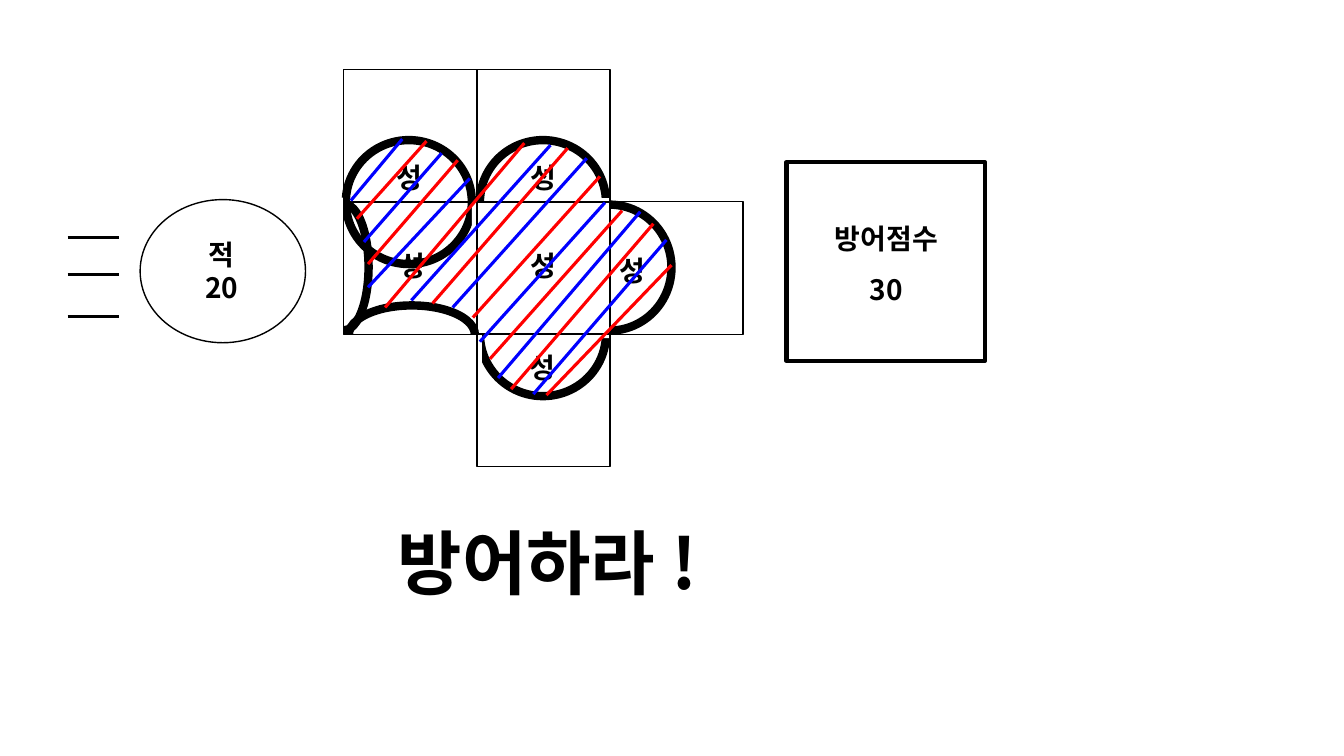
from dataclasses import dataclass

from lxml.etree import SubElement
from pptx import Presentation
from pptx.dml.color import RGBColor
from pptx.enum.shapes import MSO_CONNECTOR, MSO_SHAPE
from pptx.enum.text import PP_ALIGN
from pptx.oxml.ns import qn
from pptx.util import Inches, Pt


@dataclass(frozen=True)
class Theme:
    font: str = "Noto Sans CJK KR"
    ink: str = "000000"
    paper: str = "FFFFFF"
    blue: str = "0000FF"
    red: str = "FF0000"
    body: float = 20
    title: float = 50
    leading: float = 1.2
    drop: float = 0.08
    thin: float = 1
    medium: float = 2.25
    frame: float = 3
    wall: float = 6


class Board:
    def __init__(self, page, theme):
        self.page = page
        self.theme = theme

    def shape(self, kind, frame, width=None, fill=None, rotation=0):
        item = self.page.shapes.add_shape(kind, *map(Inches, frame))
        item.shadow.inherit = False
        item.rotation = rotation
        if fill:
            item.fill.solid()
            item.fill.fore_color.rgb = RGBColor.from_string(fill)
        else:
            item.fill.background()
        if width:
            item.line.color.rgb = RGBColor.from_string(self.theme.ink)
            item.line.width = Pt(width)
        else:
            item.line.fill.background()

    def line(self, start, end, color):
        item = self.page.shapes.add_connector(
            MSO_CONNECTOR.STRAIGHT, *map(Inches, (*start, *end)))
        item.line.color.rgb = RGBColor.from_string(color)
        item.line.width = Pt(self.theme.medium)
        SubElement(item._element.spPr, qn("a:effectLst"))

    def text(self, frame, lines, size, gap=0):
        box = self.page.shapes.add_textbox(*map(Inches, frame))
        body = box.text_frame
        body.word_wrap = True
        body.margin_top = Inches(0.05) + Pt(size * self.theme.drop)
        for index, words in enumerate(lines):
            para = body.add_paragraph() if index else body.paragraphs[0]
            layout = {"alignment": PP_ALIGN.CENTER,
                      "line_spacing": Pt(size * self.theme.leading),
                      "space_before": Pt(gap if index else 0)}
            for name, value in layout.items():
                setattr(para, name, value)
            span = para.add_run()
            span.text = words
            style = {"name": self.theme.font, "size": Pt(size), "bold": True}
            for name, value in style.items():
                setattr(span.font, name, value)
            span.font.color.rgb = RGBColor.from_string(self.theme.ink)
            SubElement(span.font._element, qn("a:ea"), typeface=self.theme.font)

    def wall(self, arc, cover, rotation):
        self.shape(MSO_SHAPE.OVAL, arc, self.theme.wall, rotation=rotation)
        if cover:
            self.shape(MSO_SHAPE.RECTANGLE, cover, fill=self.theme.paper,
                       rotation=rotation)


CELL = 1.32
GRID_LEFT, GRID_TOP, ROW_STEP = 3.41, 0.69, 1.31
CELLS = [(0, 0), (1, 0), (2, 1), (1, 1), (0, 1), (1, 2)]
WALLS = [
    ((3.43, 1.39, 1.25, 1.23), None, 0),
    ((4.76, 2.7, 1.25, 1.23), (4.68, 2.57, 1.39, 0.74), 180),
    ((4.76, 1.39, 1.25, 1.23), (4.68, 2.01, 1.39, 0.74), 0),
    ((5.42, 2.04, 1.25, 1.23), (4.98, 2.29, 1.39, 0.74), 90),
    ((3.46, 3.03, 1.25, 0.58), (3.39, 3.32, 1.39, 0.35), 0),
    ((2.79, 2.41, 1.25, 0.48), (2.57, 2.51, 1.39, 0.29), 90),
]
CASTLES = [(3.82, 1.52), (5.13, 3.41), (5.14, 1.52), (6.03, 2.44),
           (5.14, 2.39), (3.84, 2.39)]
BLUE_STRIPES = [
    ((3.99, 1.38), (3.48, 1.99)), ((4.38, 1.52), (3.61, 2.4)),
    ((4.66, 1.77), (3.65, 2.85)), ((5.46, 1.44), (4.08, 2.98)),
    ((5.82, 1.57), (4.49, 3.05)), ((6, 2.01), (4.76, 3.39)),
    ((6.35, 2.1), (4.94, 3.75)), ((6.61, 2.38), (5.29, 3.91)),
]
RED_STRIPES = [
    ((4.23, 1.4), (3.54, 2.17)), ((4.54, 1.59), (3.65, 2.62)),
    ((5.2, 1.42), (3.82, 3.05)), ((5.63, 1.47), (4.29, 3.01)),
    ((5.95, 1.75), (4.69, 3.15)), ((6.17, 2.09), (4.86, 3.56)),
    ((6.48, 2.22), (5.07, 3.86)), ((6.66, 2.63), (5.42, 3.92)),
]


def main():
    deck = Presentation()
    deck.slide_width, deck.slide_height = Inches(13.33), Inches(7.5)
    theme = Theme()
    board = Board(deck.slides.add_slide(deck.slide_layouts[6]), theme)

    for arc, cover, rotation in WALLS:
        board.wall(arc, cover, rotation)
    for column, row in CELLS:
        frame = (GRID_LEFT + column * CELL, GRID_TOP + row * ROW_STEP, CELL, CELL)
        board.shape(MSO_SHAPE.RECTANGLE, frame, theme.thin)
    for left, top in CASTLES:
        board.text((left, top, 0.49, 0.44), ["성"], theme.body)

    board.shape(MSO_SHAPE.OVAL, (1.39, 1.98, 1.64, 1.42), theme.thin)
    board.text((1.71, 2.28, 0.98, 0.77), ["적", "20"], theme.body)
    for height in (2.36, 2.72, 3.14):
        board.line((0.67, height), (1.18, height), theme.ink)

    for stripes, color in ((BLUE_STRIPES, theme.blue), (RED_STRIPES, theme.red)):
        for start, end in stripes:
            board.line(start, end, color)

    board.shape(MSO_SHAPE.RECTANGLE, (7.8, 1.61, 1.97, 1.97), theme.frame)
    board.text((7.95, 2.13, 1.68, 0.94), ["방어점수", "30"], theme.body, gap=12)
    board.text((3.56, 5.05, 3.74, 0.94), ["방어하라 !"], theme.title)
    deck.save("out.pptx")


if __name__ == "__main__":
    main()
